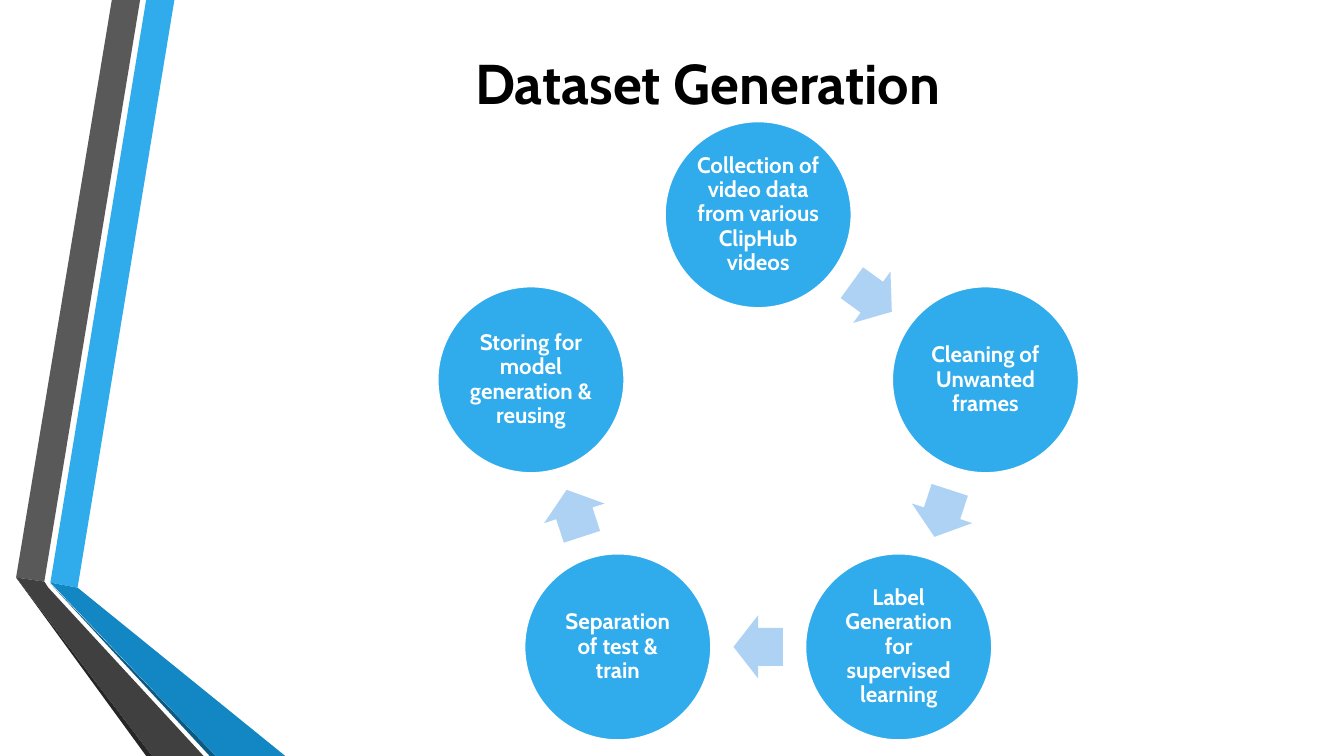
import math
import pptx
import pptx.util
import pptx.dml.color
import pptx.enum.shapes
import pptx.enum.text

Inches = pptx.util.Inches
Pt = pptx.util.Pt
RGBColor = pptx.dml.color.RGBColor
SHAPE = pptx.enum.shapes.MSO_SHAPE

BLUE = RGBColor(0x30, 0xAC, 0xEC)
MID_BLUE = RGBColor(0x12, 0x87, 0xC3)
DARK_BLUE = RGBColor(0x0C, 0x5A, 0x82)
PALE_BLUE = RGBColor(0xAE, 0xD2, 0xF4)
GRAY = RGBColor(0x59, 0x59, 0x59)
DARK_GRAY = RGBColor(0x40, 0x40, 0x40)
NEAR_BLACK = RGBColor(0x26, 0x26, 0x26)
BLACK = RGBColor(0, 0, 0)
WHITE = RGBColor(0xFF, 0xFF, 0xFF)

BANDS = [
    (BLUE, [(0.5, 5.78), (0.77, 5.83), (1.73, 0), (1.45, 0)]),
    (GRAY, [(1.39, 0), (1.11, 0), (0.16, 5.73), (0.44, 5.77)]),
    (NEAR_BLACK, [(0.16, 5.73), (1.45, 7.5), (1.51, 7.5)]),
    (DARK_BLUE, [(0.5, 5.79), (2.08, 7.5), (2.14, 7.5)]),
    (MID_BLUE, [(0.5, 5.78), (2.14, 7.5), (2.83, 7.5), (0.77, 5.83)]),
    (DARK_GRAY, [(2.02, 7.5), (0.48, 5.83), (0.44, 5.77), (0.16, 5.73),
                 (1.51, 7.5)]),
]
STEPS = [
    "Collection of video data from various ClipHub videos",
    "Cleaning of Unwanted frames",
    "Label Generation for supervised learning",
    "Separation of test & train",
    "Storing for model generation & reusing",
]
MID_X, MID_Y, RADIUS = 7.52, 4.5, 2.37
DISC = 1.85
ARROW_W, ARROW_H = 0.49, 0.63
TURN = 360 / len(STEPS)


def apply(item, values):
    for name, value in values.items():
        setattr(item, name, value)


def paint(shape, color):
    shape.shadow.inherit = False
    shape.fill.solid()
    shape.fill.fore_color.rgb = color
    shape.line.fill.background()


def write(shape, text, size, color, inset, space):
    frame = shape.text_frame
    apply(frame, {
        "word_wrap": True,
        "vertical_anchor": pptx.enum.text.MSO_ANCHOR.MIDDLE,
        **{f"margin_{side}": Inches(inset)
           for side in ("left", "top", "right", "bottom")},
    })
    line = frame.paragraphs[0]
    apply(line, {"text": text, "line_spacing": space,
                 "alignment": pptx.enum.text.PP_ALIGN.CENTER})
    apply(line.font, {"name": "Cabin", "size": Pt(size), "bold": True})
    line.font.color.rgb = color


def add_band(slide, color, points):
    spots = [(Inches(x), Inches(y)) for x, y in points]
    pen = slide.shapes.build_freeform(*spots[0])
    pen.add_line_segments(spots[1:], close=True)
    paint(pen.convert_to_shape(), color)


def add_round(slide, kind, angle, reach, width, height, color):
    """Place a shape centred on the ring, with angle clockwise from the top."""
    turn = math.radians(angle)
    x = MID_X + reach * math.sin(turn)
    y = MID_Y - reach * math.cos(turn)
    shape = slide.shapes.add_shape(
        kind, Inches(x - width / 2), Inches(y - height / 2),
        Inches(width), Inches(height))
    paint(shape, color)
    return shape


def add_step(slide, angle, text):
    disc = add_round(slide, SHAPE.OVAL, angle, RADIUS, DISC, DISC, BLUE)
    disc.line.color.rgb = WHITE
    disc.line.width = Pt(1.25)
    write(disc, text, 16, WHITE, 0.02, 0.9)


def add_arrow(slide, angle):
    reach = RADIUS * math.cos(math.radians(TURN / 2))
    arrow = add_round(slide, SHAPE.RIGHT_ARROW, angle, reach,
                      ARROW_W, ARROW_H, PALE_BLUE)
    arrow.rotation = angle
    arrow.adjustments[0] = 0.6
    arrow.adjustments[1] = 0.5


def add_title(slide, text):
    box = slide.shapes.add_textbox(
        Inches(1.54), Inches(0.19), Inches(10.96), Inches(1.25))
    write(box, text, 40, BLACK, 0.05, 1.0)


def main():
    deck = pptx.Presentation()
    apply(deck, {"slide_width": Inches(13.33), "slide_height": Inches(7.5)})
    slide = deck.slides.add_slide(deck.slide_layouts[6])
    for color, points in BANDS:
        add_band(slide, color, points)
    add_title(slide, "Dataset Generation")
    for i, text in enumerate(STEPS):
        add_step(slide, i * TURN, text)
        if i < len(STEPS) - 1:
            add_arrow(slide, (i + 0.5) * TURN)
    deck.save("out.pptx")


if __name__ == "__main__":
    main()
